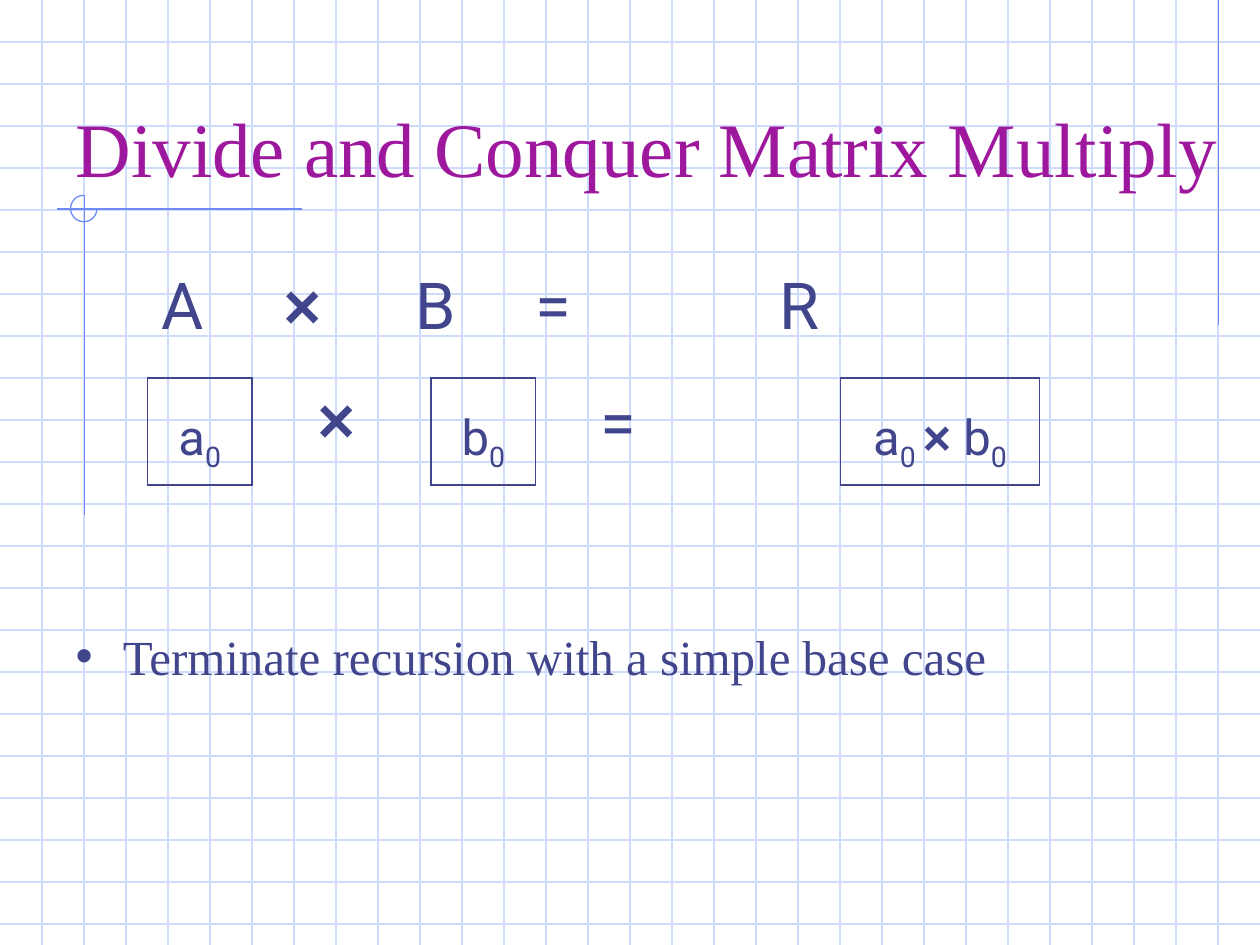
from lxml.etree import SubElement, fromstring
from pptx import Presentation
from pptx.dml.color import RGBColor
from pptx.enum.shapes import MSO_CONNECTOR, MSO_SHAPE
from pptx.enum.text import MSO_ANCHOR, MSO_AUTO_SIZE, PP_ALIGN
from pptx.oxml.ns import nsdecls, qn
from pptx.util import Inches, Pt

COLORS = {"grid": "CFDBFD", "rule": "6F89F7", "title": "9E189E", "ink": "40458C"}
WIDE, HIGH, STEP = 10, 7.5, 1 / 3
SERIF, SANS, SIGN = "Times New Roman", "Roboto", "Arial"

TITLE = "Divide and Conquer Matrix Multiply"
POINT = "Terminate recursion with a simple base case"
RULES = [(9.67, 0, 9.67, 2.58), (2.4, 1.66, 0.45, 1.66), (0.67, 1.55, 0.67, 4.09)]
HEADS = ["\tA", "\t×", "\tB", "\t=", "\tR"]
STOPS = [0.51, 1.48, 2.53, 3.48, 5.42]
SIGNS = [("×", 2.42, 0.65), ("=", 4.67, 0.7)]
CELLS = [
    (1.17, 0.83, ["a", "_0"]),
    (3.42, 0.83, ["b", "_0"]),
    (6.67, 1.58, ["a", "_0 ", "×", " b", "_0"]),
]


def rgb(name):
    return RGBColor.from_string(COLORS[name])


def write(frame, runs, size=28, font=SANS, color="ink", align=PP_ALIGN.LEFT,
          line=None, before=0, after=0, anchor=MSO_ANCHOR.TOP):
    """Fill a text frame or cell with runs; a leading underscore marks a subscript."""
    frame.vertical_anchor = anchor
    para = getattr(frame, "text_frame", frame).paragraphs[0]
    para.alignment = align
    para.line_spacing = line
    para.space_before, para.space_after = Pt(before), Pt(after)
    for text in runs:
        run = para.add_run()
        run.text = text.lstrip("_")
        face = run.font
        face.size, face.color.rgb = Pt(size), rgb(color)
        face.bold = "×" in text
        face.name = SIGN if face.bold else font
        if text.startswith("_"):
            run._r.get_or_add_rPr().set("baseline", "-25000")
    return para


def rule(shapes, ends, color):
    line = shapes.add_connector(MSO_CONNECTOR.STRAIGHT, *map(Inches, ends))
    line.line.color.rgb, line.line.width = rgb(color), Pt(0.75)
    SubElement(line._element.spPr, qn("a:effectLst"))


def label(shapes, spot, runs, **style):
    frame = shapes.add_textbox(*map(Inches, spot)).text_frame
    frame.word_wrap = True
    return write(frame, runs, **style)


def hold(shapes, shape, spot, text, **style):
    shape.left, shape.top, shape.width, shape.height = map(Inches, spot)
    shape.text_frame.auto_size = MSO_AUTO_SIZE.NONE
    write(shape.text_frame, [text], font=SERIF, **style)
    shapes._spTree.append(shape._element)


def box(shapes, left, width, runs):
    spot = map(Inches, (left, 3, width, 0.85))
    table = shapes.add_table(1, 1, *spot).table
    table.first_row = table.horz_banding = False
    cell = table.cell(0, 0)
    cell.fill.background()
    write(cell, runs, align=PP_ALIGN.CENTER, line=1.4, before=12.2, after=3.5)
    for rank, side in enumerate("LRTB"):
        edge = fromstring(
            f'<a:ln{side} {nsdecls("a")} w="{Pt(1.08)}"><a:solidFill>'
            f'<a:srgbClr val="{COLORS["ink"]}"/></a:solidFill></a:ln{side}>')
        cell._tc.get_or_add_tcPr().insert(rank, edge)


def main():
    deck = Presentation()
    deck.slide_width, deck.slide_height = Inches(WIDE), Inches(HIGH)
    slide = deck.slides.add_slide(deck.slide_layouts[1])
    shapes = slide.shapes
    title, body = slide.placeholders

    for k in range(1, 23):
        rule(shapes, (0, k * STEP, WIDE, k * STEP), "grid")
    for k in range(1, 30):
        rule(shapes, (k * STEP, 0, k * STEP, HIGH), "grid")
    for ends in RULES:
        rule(shapes, ends, "rule")
    arc = shapes.add_shape(MSO_SHAPE.ARC, *map(Inches, (0.56, 1.55, 0.21, 0.21)))
    arc.adjustments[0], arc.adjustments[1] = 0, 162
    arc.fill.background()
    arc.line.color.rgb, arc.line.width = rgb("rule"), Pt(0.75)
    arc.shadow.inherit = False

    hold(shapes, title, (0.5, 0.33, 9.5, 1.25), TITLE, size=44, color="title",
         anchor=MSO_ANCHOR.BOTTOM)
    for sign, left, line in SIGNS:
        label(shapes, (left, 3.15, 0.48, 0.5), [sign], size=37, line=line, before=9.2)
    for cell in CELLS:
        box(shapes, *cell)
    para = label(shapes, (0.67, 2.17, 8.83, 0.6), HEADS, size=37, line=0.8, before=9.2)
    tabs = SubElement(para._p.get_or_add_pPr(), qn("a:tabLst"))
    for stop in STOPS:
        SubElement(tabs, qn("a:tab"), pos=str(Inches(stop)), algn="l")
    hold(shapes, body, (0.5, 4.92, 9.08, 1.5), POINT, before=7)
    deck.save("out.pptx")


if __name__ == "__main__":
    main()
